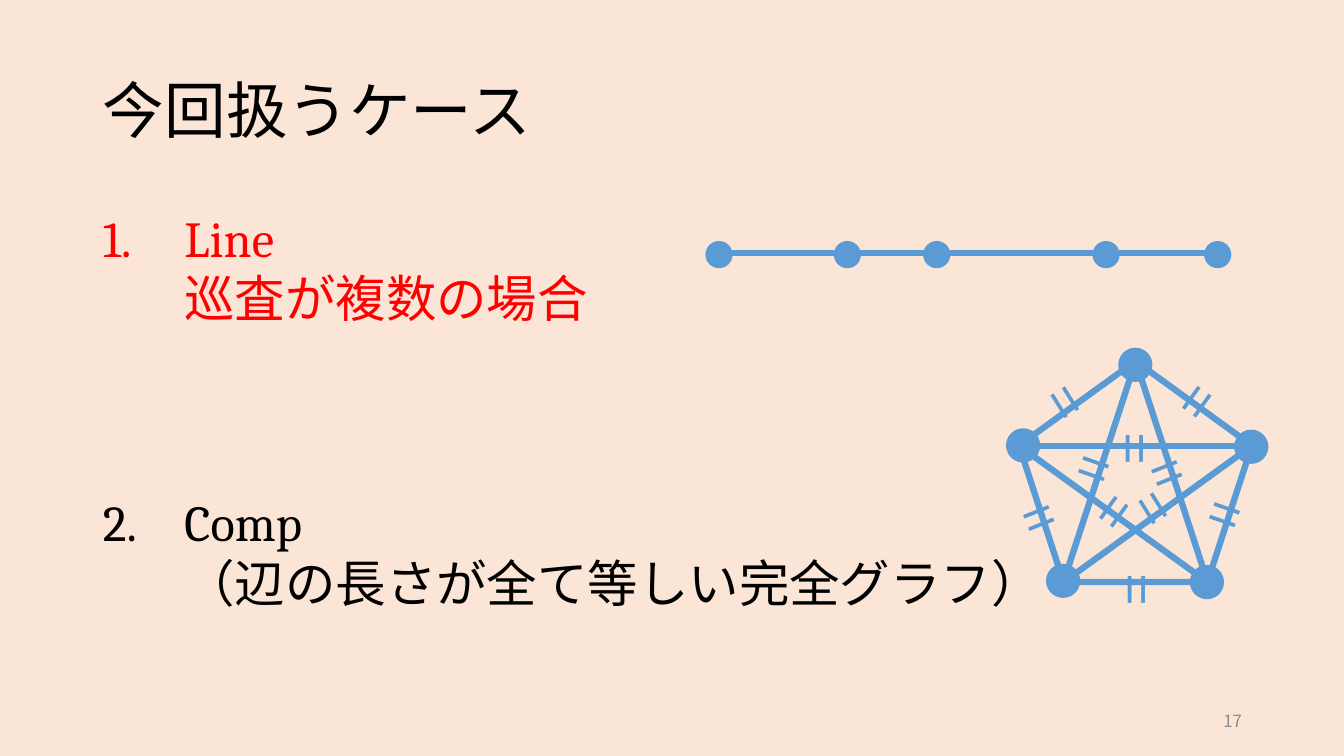
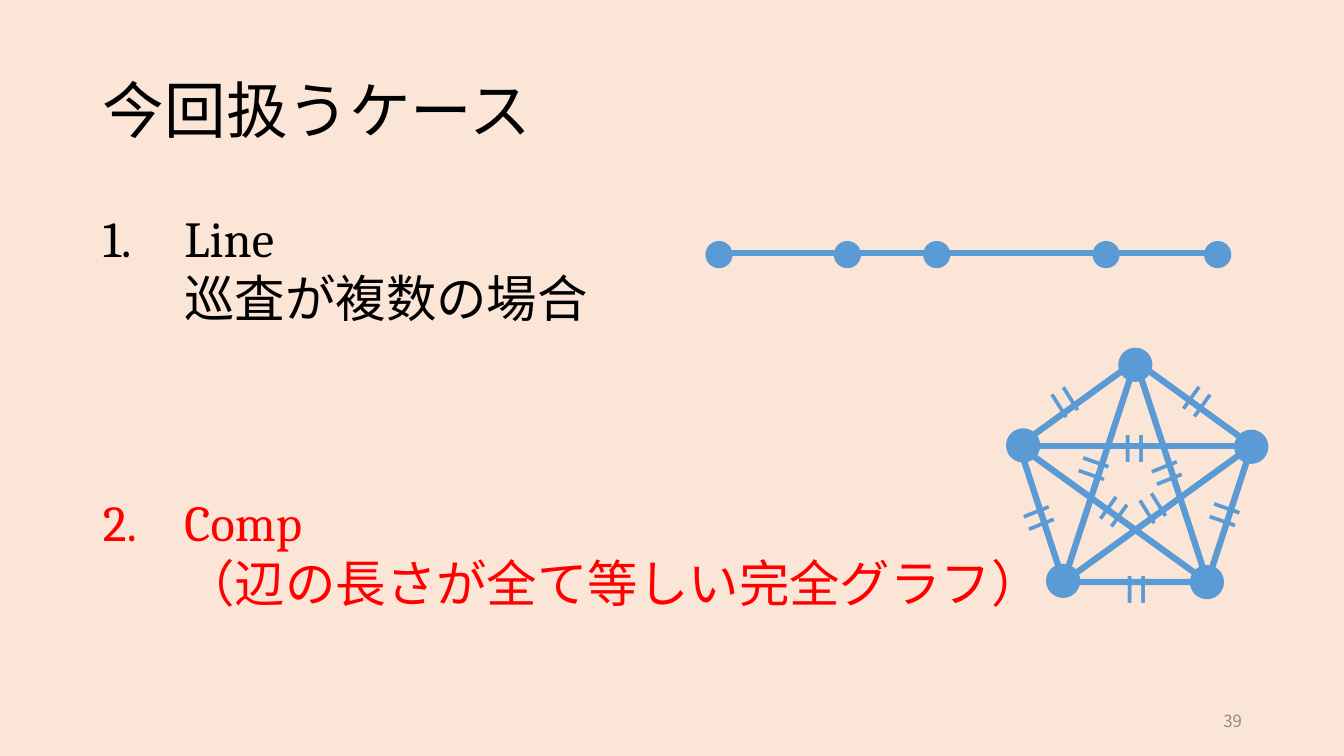
from dataclasses import dataclass
from itertools import combinations
from typing import Any, NamedTuple

from lxml.etree import SubElement
from pptx import Presentation
from pptx.dml.color import RGBColor
from pptx.enum.shapes import MSO_CONNECTOR as Connector, MSO_SHAPE as Shape
from pptx.enum.text import MSO_ANCHOR as Anchor, MSO_AUTO_SIZE as AutoSize, PP_ALIGN as Align
from pptx.oxml.ns import qn
from pptx.util import Emu, Inches, Pt

# Shared look: a grid of 40 columns and 22.5 rows with square cells
WIDTH, HEIGHT = Inches(13.33), Inches(7.5)
CELL = WIDTH / 40
PEACH, BLUE, BLACK, RED, GRAY = "FBE5D6", "5B9BD5", "000000", "FF0000", "8C8C8C"
SERIF, SANS = "Cambria", "Noto Sans CJK JP"
EDGE_WIDTH = 4.5
HEADING = "今回扱うケース"


class Area(NamedTuple):
    left: float
    top: float
    width: float
    height: float


class Point(NamedTuple):
    x: float
    y: float


class Vertex(NamedTuple):
    corner: Point
    dot: Point


class Tick(NamedTuple):
    center: Point
    angle: float


@dataclass(frozen=True)
class Case:
    name: str
    detail: str
    number_font: str
    space_before: float


@dataclass(frozen=True)
class CasePage:
    number: str
    highlighted: int


TITLE_AREA = Area(2.76, 1.2, 34.5, 4.35)
BODY_AREA = Area(2.76, 6, 29, 14.28)
NUMBER_AREA = Area(28.26, 20.85, 9, 1.2)

CASES = [
    Case("Line", "巡査が複数の場合", SERIF, 10),
    Case("Comp", "（辺の長さが全て等しい完全グラフ）", SANS, 117),
]
PAGES = [CasePage("17", 0), CasePage("39", 1)]

# Line graph
LINE_START, LINE_END = Point(21.42, 7.53), Point(36.33, 7.53)
STOPS = [Point(x, 7.58) for x in (21.4, 25.22, 27.88, 32.92, 36.24)]
STOP_SIZE = 0.81

# Complete graph, clockwise from the top
PENTAGON = Area(30.33, 10.75, 6.93, 6.58)
VERTICES = [
    Vertex(Point(33.8, 10.75), Point(33.79, 10.86)),
    Vertex(Point(37.26, 13.27), Point(37.24, 13.3)),
    Vertex(Point(35.94, 17.33), Point(35.92, 17.33)),
    Vertex(Point(31.65, 17.33), Point(31.64, 17.29)),
    Vertex(Point(30.33, 13.27), Point(30.45, 13.26)),
]
VERTEX_SIZE = 1.02
TICKS = [
    Tick(Point(33.81, 17.55), 270), Tick(Point(33.75, 13.38), 270),
    Tick(Point(31.73, 11.97), 58), Tick(Point(34.35, 15.13), 58),
    Tick(Point(30.92, 15.42), 338.2), Tick(Point(34.73, 14.08), 338.2),
    Tick(Point(35.65, 11.97), 125.6), Tick(Point(33.18, 15.25), 125.6),
    Tick(Point(36.46, 15.33), 19.3), Tick(Point(32.56, 13.96), 19.3),
]
TICK_WIDTH, TICK_HEIGHT = 1.8, 2.7


def cells(count: float) -> Emu:
    return Emu(round(count * CELL))


def color(value: str) -> RGBColor:
    return RGBColor.from_string(value)


def apply(target: Any, formats: dict[str, Any]) -> None:
    for name, value in formats.items():
        setattr(target, name, value)


def place(box: Any, area: Area) -> None:
    apply(box, {name: cells(value) for name, value in area._asdict().items()})


def around(center: Point, width: float, height: float) -> Area:
    return Area(center.x - width / 2, center.y - height / 2, width, height)


# Text
def add_span(para: Any, text: str, size: float, font: str, ink: str) -> None:
    span = para.add_run()
    span.text = text
    apply(span.font, {"size": Pt(size), "name": font})
    span.font.color.rgb = color(ink)
    SubElement(span._r.get_or_add_rPr(), qn("a:ea"), typeface=font)


def add_text_box(shapes: Any, area: Area, text: str, size: float, ink: str,
                 align: Align) -> Any:
    box = shapes.add_textbox(*(cells(value) for value in area))
    apply(box.text_frame, {"word_wrap": True, "vertical_anchor": Anchor.MIDDLE})
    para = box.text_frame.paragraphs[0]
    para.alignment = align
    add_span(para, text, size, SANS, ink)
    return box


def fill_title(title: Any) -> None:
    title.text_frame.vertical_anchor = Anchor.MIDDLE
    para = title.text_frame.paragraphs[0]
    apply(para, {"alignment": Align.LEFT, "line_spacing": 0.9})
    add_span(para, HEADING, 44, SANS, BLACK)


def fill_cases(body: Any, highlighted: int) -> None:
    frame = body.text_frame
    apply(frame, {"auto_size": AutoSize.NONE, "vertical_anchor": Anchor.TOP})
    for index, case in enumerate(CASES):
        para = frame.add_paragraph() if index else frame.paragraphs[0]
        apply(para, {"line_spacing": 1.0, "space_before": Pt(case.space_before)})
        ink = RED if index == highlighted else BLACK
        add_span(para, case.name, 36, SERIF, ink)
        para.add_line_break()
        add_span(para, case.detail, 36, SANS, ink)
        # Numbering with a hanging indent
        props = para._p.get_or_add_pPr()
        props.set("marL", str(Inches(0.81)))
        props.set("indent", str(-Inches(0.81)))
        SubElement(props, qn("a:buFont"), typeface=case.number_font)
        SubElement(props, qn("a:buAutoNum"), type="arabicPeriod")


# Graph parts
def add_edge(shapes: Any, start: Point, end: Point) -> None:
    ends = (cells(value) for value in (*start, *end))
    edge = shapes.add_connector(Connector.STRAIGHT, *ends)
    edge.line.color.rgb = color(BLUE)
    edge.line.width = Pt(EDGE_WIDTH)
    SubElement(edge._element.spPr, qn("a:effectLst"))


def add_dot(shapes: Any, center: Point, size: float) -> None:
    area = around(center, size, size)
    dot = shapes.add_shape(Shape.OVAL, *(cells(value) for value in area))
    dot.shadow.inherit = False
    dot.fill.solid()
    dot.fill.fore_color.rgb = color(BLUE)
    dot.line.fill.background()


def add_tick(shapes: Any, tick: Tick) -> None:
    area = around(tick.center, TICK_WIDTH, TICK_HEIGHT)
    box = add_text_box(shapes, area, "=", 40, BLUE, Align.CENTER)
    apply(box.text_frame, {"margin_top": 0, "margin_bottom": Inches(0.02)})
    box.rotation = tick.angle


def draw_line_graph(page: Any) -> None:
    shapes = page.shapes.add_group_shape().shapes
    add_edge(shapes, LINE_START, LINE_END)
    for stop in STOPS:
        add_dot(shapes, stop, STOP_SIZE)


def draw_complete_graph(page: Any) -> None:
    shapes = page.shapes.add_group_shape().shapes
    outline = shapes.add_shape(Shape.REGULAR_PENTAGON, *(cells(value) for value in PENTAGON))
    outline.shadow.inherit = False
    outline.fill.background()
    outline.line.color.rgb = color(BLUE)
    outline.line.width = Pt(EDGE_WIDTH)
    # Diagonals join the corners that are not neighbours
    for first, second in combinations(range(len(VERTICES)), 2):
        if second - first in (2, 3):
            add_edge(shapes, VERTICES[first].corner, VERTICES[second].corner)
    for vertex in VERTICES:
        add_dot(shapes, vertex.dot, VERTEX_SIZE)
    for tick in TICKS:
        add_tick(shapes, tick)


# Slides
def add_page(deck: Any, layout: Any, content: CasePage) -> None:
    page = deck.slides.add_slide(layout)
    fill_title(page.shapes.title)
    fill_cases(page.placeholders[1], content.highlighted)
    draw_line_graph(page)
    draw_complete_graph(page)
    add_text_box(page.shapes, NUMBER_AREA, content.number, 12, GRAY, Align.RIGHT)


def main() -> None:
    deck = Presentation()
    apply(deck, {"slide_width": WIDTH, "slide_height": HEIGHT})
    backdrop = deck.slide_master.background.fill
    backdrop.solid()
    backdrop.fore_color.rgb = color(PEACH)
    layout = deck.slide_layouts[1]
    for holder, area in zip(layout.placeholders, (TITLE_AREA, BODY_AREA)):
        place(holder, area)
    for content in PAGES:
        add_page(deck, layout, content)
    deck.save("out.pptx")


if __name__ == "__main__":
    main()
